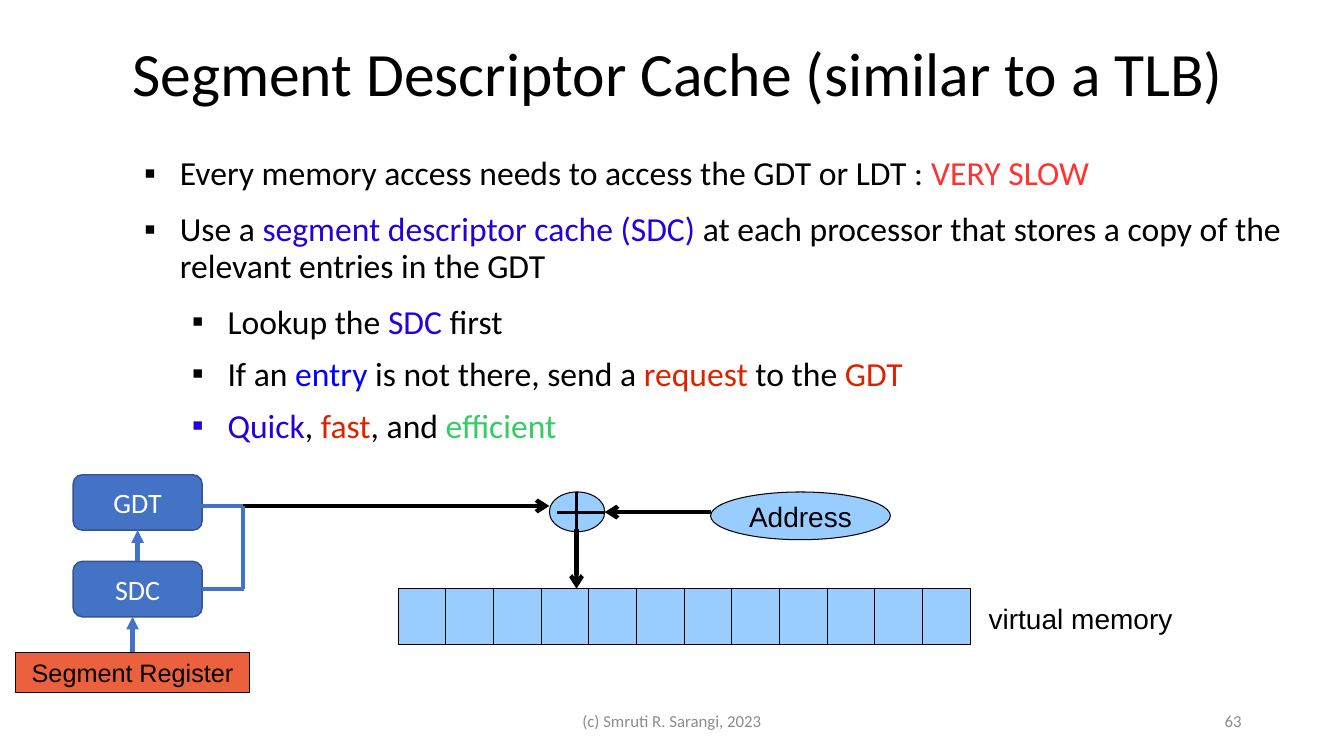
from lxml import etree
from pptx import Presentation
from pptx.dml.color import RGBColor
from pptx.enum.shapes import MSO_CONNECTOR, MSO_SHAPE
from pptx.enum.text import MSO_ANCHOR, MSO_AUTO_SIZE, PP_ALIGN
from pptx.oxml.ns import qn
from pptx.util import Pt

STRAIGHT = MSO_CONNECTOR.STRAIGHT
RECTANGLE, ROUNDED, OVAL = MSO_SHAPE.RECTANGLE, MSO_SHAPE.ROUNDED_RECTANGLE, MSO_SHAPE.OVAL
LEFT, CENTER, RIGHT = PP_ALIGN.LEFT, PP_ALIGN.CENTER, PP_ALIGN.RIGHT
TOP_ANCHOR, MIDDLE = MSO_ANCHOR.TOP, MSO_ANCHOR.MIDDLE
NO_AUTOFIT = MSO_AUTO_SIZE.NONE
TOP, BOTTOM, RIGHT_SIDE = 0, 2, 3

BLACK = RGBColor(0x00, 0x00, 0x00)
WHITE = RGBColor(0xFF, 0xFF, 0xFF)
GRAY = RGBColor(0x8C, 0x8C, 0x8C)
BRIGHT_RED = RGBColor(0xFF, 0x33, 0x33)
RED = RGBColor(0xDC, 0x23, 0x00)
INDIGO = RGBColor(0x23, 0x00, 0xDC)
BLUE = RGBColor(0x00, 0x00, 0xFF)
GREEN = RGBColor(0x33, 0xCC, 0x66)
SKY = RGBColor(0x99, 0xCC, 0xFF)
ORANGE = RGBColor(0xEB, 0x61, 0x3D)
TABLE_BLUE = RGBColor(0x44, 0x72, 0xC4)
TABLE_EDGE = RGBColor(0x32, 0x54, 0x91)

# Each bullet: level, then its (text, colour) runs
BULLETS = [
    (0, [("Every memory access needs to access the GDT or LDT : ", BLACK),
         ("VERY SLOW", BRIGHT_RED)]),
    (0, [("Use a ", BLACK), ("segment descriptor cache (SDC)", INDIGO),
         (" at each processor that stores a copy of the relevant entries in the GDT", BLACK)]),
    (1, [("Lookup the ", BLACK), ("SDC", INDIGO), (" first", BLACK)]),
    (1, [("If an ", BLACK), ("entry", BLUE), (" is not there, send a ", BLACK),
         ("request", RED), (" to the ", BLACK), ("GDT", RED)]),
    (1, [("Quick", INDIGO), (", ", BLACK), ("fast", RED), (", and ", BLACK),
         ("efficient", GREEN)]),
]
CELL_COUNT = 12


def add_run(paragraph, text, size=24, font="Calibri", color=BLACK):
    run = paragraph.add_run()
    run.text = text
    run.font.size = Pt(size)
    run.font.name = font
    run.font.color.rgb = color


def write_text(shape, text, align=CENTER, anchor=MIDDLE, wrap=True, **run_format):
    frame = shape.text_frame
    frame.word_wrap = wrap
    frame.vertical_anchor = anchor
    paragraph = frame.paragraphs[0]
    paragraph.alignment = align
    add_run(paragraph, text, **run_format)


def remove_insets(frame):
    frame.margin_left = frame.margin_top = frame.margin_right = frame.margin_bottom = 0


def add_label(slide, text, left, top, width, height, **text_format):
    box = slide.shapes.add_textbox(Pt(left), Pt(top), Pt(width), Pt(height))
    write_text(box, text, **text_format)


def add_node(slide, kind, left, top, width, height, fill, edge=BLACK, edge_width=0):
    node = slide.shapes.add_shape(kind, Pt(left), Pt(top), Pt(width), Pt(height))
    node.shadow.inherit = False
    node.fill.solid()
    node.fill.fore_color.rgb = fill
    node.line.color.rgb = edge
    node.line.width = Pt(edge_width)
    return node


def add_line(slide, x1, y1, x2, y2, color=BLACK, width=3, head=None):
    """Draw a straight line; head names the arrowhead at its far end."""
    line = slide.shapes.add_connector(STRAIGHT, Pt(x1), Pt(y1), Pt(x2), Pt(y2))
    line.line.color.rgb = color
    line.line.width = Pt(width)
    if head:
        etree.SubElement(line.line._get_or_add_ln(), qn("a:tailEnd"), type=head)
    etree.SubElement(line._element.spPr, qn("a:effectLst"))
    return line


def add_title(slide, left, top, width, height):
    title = slide.shapes.title
    title.left, title.top, title.width, title.height = Pt(left), Pt(top), Pt(width), Pt(height)
    frame = title.text_frame
    frame.auto_size = NO_AUTOFIT
    remove_insets(frame)
    write_text(title, "Segment Descriptor Cache (similar to a TLB)", align=LEFT, size=44)
    frame.paragraphs[0].line_spacing = 0.9


def add_bullets(slide, left, top, width, height):
    frame = slide.shapes.add_textbox(Pt(left), Pt(top), Pt(width), Pt(height)).text_frame
    frame.word_wrap = True
    remove_insets(frame)
    for index, (level, runs) in enumerate(BULLETS):
        paragraph = frame.paragraphs[0] if index == 0 else frame.add_paragraph()
        paragraph.level = level
        paragraph.line_spacing = 0.9
        paragraph.space_after = Pt(11.3 if level else 14.1)
        properties = paragraph._p.get_or_add_pPr()
        properties.set("marL", str(Pt(34 * (level + 1))))
        properties.set("indent", str(Pt(-25.5)))
        etree.SubElement(properties, qn("a:buFont"), typeface="Arial")
        etree.SubElement(properties, qn("a:buChar"), char="▪")
        for text, color in runs:
            add_run(paragraph, text, color=color)


def add_memory_access(slide, left, top):
    """Add base and address in the adder, then point into virtual memory."""
    cell_left, cell_top, cell_width, cell_height = left + 110.9, top + 69.1, 34.05, 39.6
    for index in range(CELL_COUNT):
        add_node(slide, RECTANGLE, cell_left + index * cell_width, cell_top,
                 cell_width, cell_height, SKY)
    add_label(slide, "virtual memory", left + 525.6, top + 74.8, 146.9, 30.2,
              align=LEFT, anchor=TOP_ANCHOR, wrap=False, size=20, font="Arial")

    address_left = left + 334.1
    address = add_node(slide, OVAL, address_left, top, 128.4, 34.1, SKY)
    write_text(address, "Address", wrap=False, size=20, font="Arial")

    adder_left, adder_width = left + 218.9, 39.6
    adder_right = adder_left + adder_width
    plus_x, plus_y, plus_bottom = left + 238.3, top + 14.4, top + 26.6
    add_node(slide, OVAL, adder_left, top, adder_width, 28.4, SKY)
    add_line(slide, adder_left + 5.8, plus_y, adder_right, plus_y, width=0)
    add_line(slide, plus_x, top, plus_x, plus_bottom, width=0)

    add_line(slide, left, top + 10, adder_left, top + 10, head="arrow")
    add_line(slide, address_left, plus_y, adder_right, plus_y, head="arrow")
    add_line(slide, plus_x, plus_bottom, plus_x, cell_top, head="arrow")


def add_table_box(slide, text, left, top):
    box = add_node(slide, ROUNDED, left, top, 92.2, 39.6, TABLE_BLUE, TABLE_EDGE, 1)
    write_text(box, text, size=20, color=WHITE)
    return box


def add_descriptor_lookup(slide, left, top, join_x):
    """Stack register, SDC and GDT; both tables lead to the line at join_x."""
    table_left, sdc_top, register_top = left + 41.4, top + 61.9, top + 126.9
    register = add_node(slide, RECTANGLE, left, register_top, 167.8, 28.4, ORANGE)
    write_text(register, "Segment Register", wrap=False, size=18, font="Arial")
    sdc = add_table_box(slide, "SDC", table_left, sdc_top)
    gdt = add_table_box(slide, "GDT", table_left, top)

    register_x = left + 83.9
    to_sdc = add_line(slide, register_x, register_top, register_x, sdc_top + 39.6,
                      color=TABLE_BLUE, head="triangle")
    to_sdc.begin_connect(register, TOP)
    to_gdt = add_line(slide, table_left + 46.1, sdc_top, table_left + 46.1, top + 39.6,
                      color=TABLE_BLUE, head="triangle")
    to_gdt.begin_connect(sdc, TOP)
    to_gdt.end_connect(gdt, BOTTOM)

    gdt_y, sdc_y = top + 22.3, sdc_top + 19.8
    from_sdc = add_line(slide, table_left + 92.2, sdc_y, join_x + 0.7, sdc_y, color=TABLE_BLUE)
    from_sdc.begin_connect(sdc, RIGHT_SIDE)
    add_line(slide, table_left + 86.8, gdt_y, join_x, gdt_y, color=TABLE_BLUE)
    add_line(slide, join_x, sdc_y, join_x, gdt_y, color=TABLE_BLUE)


def add_footer(slide, left, top, height):
    add_label(slide, "(c) Smruti R. Sarangi, 2023", left, top, 324, height, size=12, color=GRAY)
    add_label(slide, "63", left + 360, top, 216, height, align=RIGHT, size=12, color=GRAY)


def main():
    presentation = Presentation()
    presentation.slide_width, presentation.slide_height = Pt(960), Pt(540)
    slide = presentation.slides.add_slide(presentation.slide_layouts[5])
    add_title(slide, 94.5, 18, 800, 73.4)
    add_bullets(slide, 94.5, 112, 836.6, 220)
    add_memory_access(slide, 173.5, 351.4)
    add_descriptor_lookup(slide, 10.8, 339.1, 173.5)
    add_footer(slide, 318, 500.5, 28.75)
    presentation.save("out.pptx")


if __name__ == "__main__":
    main()
